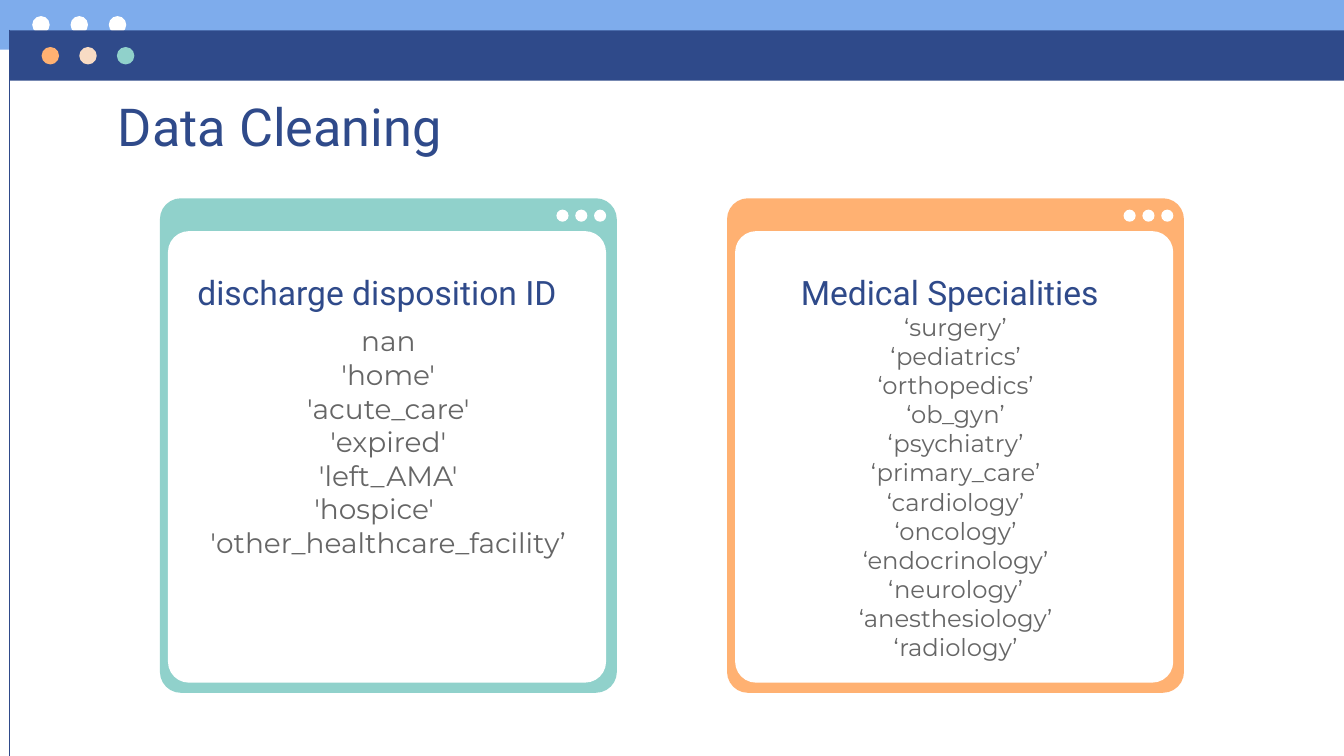
from dataclasses import dataclass
from typing import Sequence

import lxml.etree
import pptx
import pptx.dml.color
import pptx.enum.shapes
import pptx.enum.text
import pptx.oxml.ns
import pptx.util

SHAPE = pptx.enum.shapes.MSO_SHAPE
ALIGN = pptx.enum.text.PP_ALIGN


@dataclass(frozen=True)
class Theme:
    sky: str = "7EACEC"
    navy: str = "2F4A8A"
    orange: str = "FFB172"
    peach: str = "F8DBC4"
    mint: str = "90D1CB"
    white: str = "FFFFFF"
    gray: str = "666666"
    heading_font: str = "Roboto"
    body_font: str = "Montserrat"
    title_size: int = 28
    heading_size: int = 18
    list_size: int = 15
    long_list_size: int = 13


@dataclass(frozen=True)
class Area:
    col: float
    row: float
    cols: float
    rows: float


@dataclass(frozen=True)
class Card:
    col: float
    color: str
    heading: str
    heading_inset: float
    heading_cols: float
    values: Sequence[str]
    values_row: float
    values_size: int


THEME = Theme()
COLUMNS, ROWS = 100, 56.25
CELL = pptx.util.Inches(10) / COLUMNS

CARDS = [
    Card(11.9, THEME.mint, "discharge disposition ID", 1.8, 30.1,
         ["nan", "'home'", "'acute_care'", "'expired'", "'left_AMA'",
          "'hospice'", "'other_healthcare_facility’"],
         23.1, THEME.list_size),
    Card(54.1, THEME.orange, "Medical Specialities", 4.5, 24.9,
         ["‘surgery’", "‘pediatrics’", "‘orthopedics’", "‘ob_gyn’",
          "‘psychiatry’", "‘primary_care’", "‘cardiology’", "‘oncology’",
          "‘endocrinology’", "‘neurology’", "‘anesthesiology’", "‘radiology’"],
         22.2, THEME.long_list_size),
]


def cells(count: float) -> int:
    return round(count * CELL)


def rgb(color: str) -> pptx.dml.color.RGBColor:
    return pptx.dml.color.RGBColor.from_string(color)


def place(area: Area) -> list[int]:
    return [cells(n) for n in (area.col, area.row, area.cols, area.rows)]


def add_block(slide, kind, area: Area, color: str,
              rounding: float | None = None) -> None:
    block = slide.shapes.add_shape(kind, *place(area))
    block.shadow.inherit = False
    block.fill.solid()
    block.fill.fore_color.rgb = rgb(color)
    block.line.fill.background()
    if rounding is not None:
        block.adjustments[0] = rounding


def add_dots(slide, first: Area, step: float, colors: Sequence[str]) -> None:
    for index, color in enumerate(colors):
        dot = Area(first.col + index * step, first.row, first.cols, first.rows)
        add_block(slide, SHAPE.OVAL, dot, color)


def add_text(slide, area: Area, lines: Sequence[str], *, font: str, size: int,
             color: str, align=ALIGN.LEFT):
    frame = slide.shapes.add_textbox(*place(area)).text_frame
    frame.word_wrap = True
    frame.vertical_anchor = pptx.enum.text.MSO_ANCHOR.TOP
    inset = cells(1)
    frame.margin_left = frame.margin_right = inset
    frame.margin_top = frame.margin_bottom = inset
    for index, line in enumerate(lines):
        paragraph = frame.add_paragraph() if index else frame.paragraphs[0]
        paragraph.alignment = align
        run = paragraph.add_run()
        run.text = line
        run.font.name = font
        run.font.size = pptx.util.Pt(size)
        run.font.color.rgb = rgb(color)
    return frame


def add_window_edge(slide) -> None:
    edge = slide.shapes.add_connector(
        pptx.enum.shapes.MSO_CONNECTOR.STRAIGHT,
        cells(0.7), cells(2.2), cells(0.7), cells(ROWS))
    edge.line.color.rgb = rgb(THEME.navy)
    edge.line.width = pptx.util.Pt(0.75)
    lxml.etree.SubElement(edge._element.spPr, pptx.oxml.ns.qn("a:effectLst"))


def add_card(slide, card: Card) -> None:
    add_block(slide, SHAPE.ROUNDED_RECTANGLE,
              Area(card.col, 14.75, 34, 36.8), card.color, 0.046)
    add_block(slide, SHAPE.ROUNDED_RECTANGLE,
              Area(card.col + 0.6, 17.2, 32.6, 33.6), THEME.white, 0.048)
    add_dots(slide, Area(card.col + 29.5, 15.6, 0.9, 0.9), 1.4, [THEME.white] * 3)
    add_text(slide, Area(card.col + card.heading_inset, 19.2, card.heading_cols, 5.1),
             [card.heading], font=THEME.heading_font, size=THEME.heading_size,
             color=THEME.navy)
    values = add_text(slide, Area(card.col + 2.2, card.values_row, 29.6, 25.5),
                      card.values, font=THEME.body_font, size=card.values_size,
                      color=THEME.gray, align=ALIGN.CENTER)
    for paragraph in values.paragraphs:
        right_margin = 2.1 if paragraph.text == "'hospice'" else 0
        paragraph._p.get_or_add_pPr().set("marR", str(cells(right_margin)))


def main() -> None:
    deck = pptx.Presentation()
    deck.slide_width = cells(COLUMNS)
    deck.slide_height = cells(ROWS)
    slide = deck.slides.add_slide(deck.slide_layouts[6])

    add_block(slide, SHAPE.RECTANGLE, Area(0, 0, COLUMNS, 3.7), THEME.sky)
    add_dots(slide, Area(2.4, 1.2, 1.3, 1.3), 2.85, [THEME.white] * 3)
    add_block(slide, SHAPE.RECTANGLE, Area(0.7, 2.25, COLUMNS - 0.7, 3.75), THEME.navy)
    add_dots(slide, Area(3.1, 3.5, 1.3, 1.3), 2.8,
             [THEME.orange, THEME.peach, THEME.mint])
    add_window_edge(slide)
    add_text(slide, Area(7.8, 6, 84.4, 5.1), ["Data Cleaning"],
             font=THEME.heading_font, size=THEME.title_size, color=THEME.navy)
    for card in CARDS:
        add_card(slide, card)
    deck.save("out.pptx")


if __name__ == "__main__":
    main()
